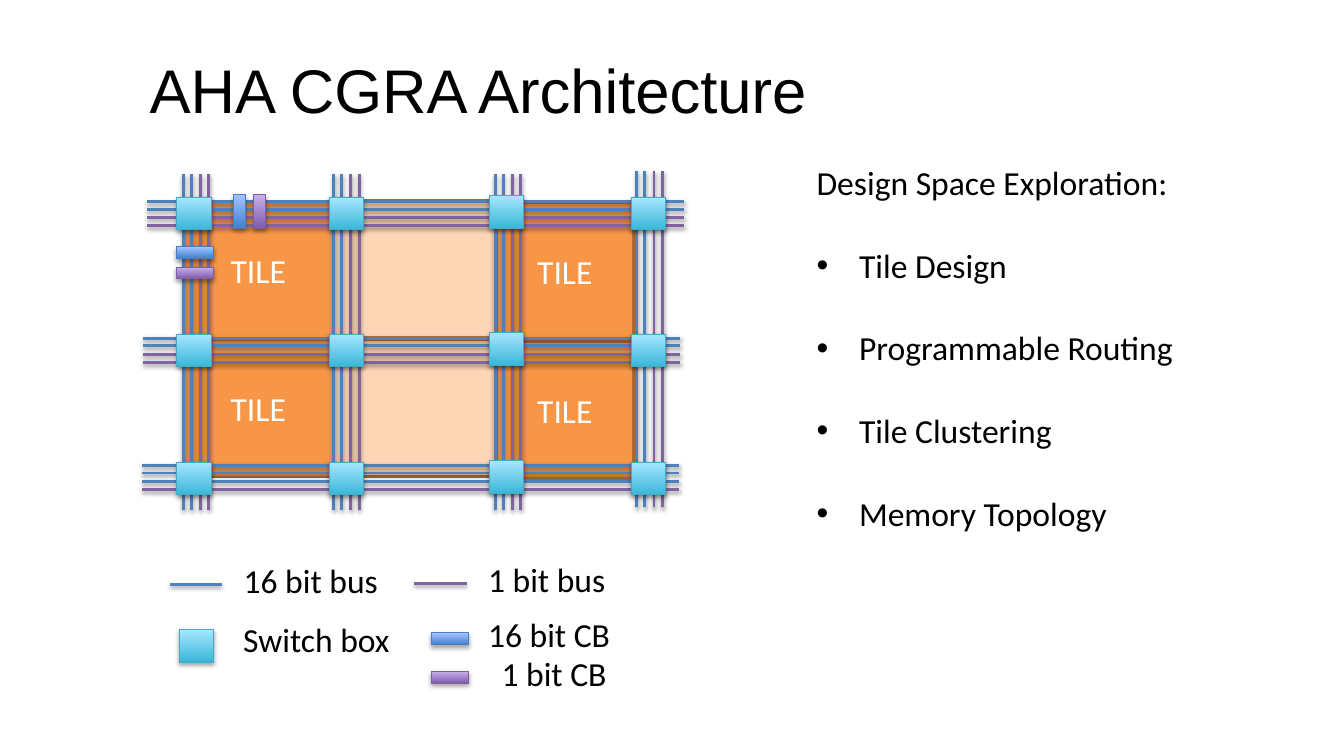
from lxml import etree
from pptx import Presentation
from pptx.dml.color import RGBColor
from pptx.enum.shapes import MSO_CONNECTOR, MSO_SHAPE
from pptx.enum.text import MSO_ANCHOR, PP_ALIGN
from pptx.oxml.ns import qn
from pptx.util import Cm, Pt

RECTANGLE = MSO_SHAPE.RECTANGLE
STRAIGHT = MSO_CONNECTOR.STRAIGHT
MIDDLE, TOP = MSO_ANCHOR.MIDDLE, MSO_ANCHOR.TOP
CENTER, LEFT = PP_ALIGN.CENTER, PP_ALIGN.LEFT

BLACK = RGBColor(0x00, 0x00, 0x00)
WHITE = RGBColor(0xFF, 0xFF, 0xFF)
ORANGE = RGBColor(0xF7, 0x96, 0x46)
PEACH = RGBColor(0xFC, 0xD5, 0xB5)
BROWN = RGBColor(0xB7, 0x6F, 0x34)
BLUE = RGBColor(0x4F, 0x81, 0xBD)
PURPLE = RGBColor(0x80, 0x64, 0xA2)

# Gradient styles: bottom colour, top colour, outline
SWITCH = (RGBColor(0x39, 0xB7, 0xD8), RGBColor(0xA7, 0xE6, 0xFF), RGBColor(0x46, 0xAA, 0xC5))
WIDE_CB = (RGBColor(0x3F, 0x80, 0xCE), RGBColor(0xA4, 0xC4, 0xFF), RGBColor(0x4B, 0x7E, 0xBC))
BIT_CB = (RGBColor(0x7F, 0x5B, 0xAB), RGBColor(0xC8, 0xB0, 0xED), RGBColor(0x7D, 0x60, 0xA0))

SWITCH_SIZE = (0.87, 0.82)
CB_LONG, CB_SHORT = 0.94, 0.3


def write_text(frame, lines, size=24, font="Calibri", color=BLACK, align=LEFT,
               anchor=TOP, wrap=True, line_spacing=None, space=None):
    """Fill a text frame, one paragraph per line, and return the paragraphs."""
    frame.word_wrap = wrap
    frame.vertical_anchor = anchor
    for index, line in enumerate(lines):
        paragraph = frame.add_paragraph() if index else frame.paragraphs[0]
        paragraph.alignment = align
        paragraph.line_spacing = line_spacing
        if space is not None:
            paragraph.space_before = paragraph.space_after = Pt(space)
        run = paragraph.add_run()
        run.text = line
        run.font.size = Pt(size)
        run.font.name = font
        run.font.color.rgb = color
    return frame.paragraphs


def add_bullet(paragraph, indent):
    properties = paragraph._p.get_or_add_pPr()
    properties.set("marL", str(Cm(indent)))
    properties.set("indent", str(-Cm(indent)))
    etree.SubElement(properties, qn("a:buFont")).set("typeface", "Arial")
    etree.SubElement(properties, qn("a:buChar")).set("char", "•")


def add_shadow(effects, distance, opacity):
    shadow = etree.SubElement(effects, qn("a:outerShdw"), blurRad=str(Pt(3.1)),
                              dist=str(Pt(distance)), dir="5400000", rotWithShape="0")
    color = etree.SubElement(shadow, qn("a:srgbClr"), val=str(BLACK))
    etree.SubElement(color, qn("a:alpha"), val=str(opacity * 1000))


class Diagram:
    """Current slide and the look of its elements; lengths in centimetres."""

    def __init__(self, slide):
        self.slide = slide
        self.bus_width = Pt(2)
        self.box_outline = Pt(0.75)

    def rectangle(self, left, top, width, height):
        shape = self.slide.shapes.add_shape(RECTANGLE, Cm(left), Cm(top), Cm(width), Cm(height))
        shape.shadow.inherit = False
        return shape

    def tile(self, left, top, width, height, color, lines):
        shape = self.rectangle(left, top, width, height)
        shape.fill.solid()
        shape.fill.fore_color.rgb = color
        shape.line.color.rgb = BROWN
        shape.line.width = self.bus_width
        write_text(shape.text_frame, lines, color=WHITE, align=CENTER, anchor=MIDDLE)

    def box(self, left, top, width, height, style):
        shape = self.rectangle(left, top, width, height)
        bottom_color, top_color, outline = style
        shape.fill.gradient()
        shape.fill.gradient_angle = 90
        for stop, color in zip(shape.fill.gradient_stops, (bottom_color, top_color)):
            stop.color.rgb = color
        shape.line.color.rgb = outline
        shape.line.width = self.box_outline
        add_shadow(shape._element.spPr.find(qn("a:effectLst")), 1.8, 35)

    def wire(self, x1, y1, x2, y2, color):
        connector = self.slide.shapes.add_connector(STRAIGHT, Cm(x1), Cm(y1), Cm(x2), Cm(y2))
        connector.line.color.rgb = color
        connector.line.width = self.bus_width
        effects = etree.SubElement(connector._element.spPr, qn("a:effectLst"))
        add_shadow(effects, 1.6, 38)

    def text(self, left, top, width, height, lines, **text_format):
        box = self.slide.shapes.add_textbox(Cm(left), Cm(top), Cm(width), Cm(height))
        return write_text(box.text_frame, lines, **text_format)


def draw_array(diagram):
    # Tiles: left, width, colour, vertical shift, label
    tile_columns = [(12.51, 3.45, ORANGE, 0.03, ["TILE"]), (8.4, 4.09, PEACH, -0.02, []),
                    (4.62, 3.78, ORANGE, 0, ["TILE"])]
    for top in (8.57, 5.08):
        for left, width, color, shift, label in tile_columns:
            diagram.tile(left, top + shift, width, 3.45, color, label)

    # Vertical buses: x of the first wire, top, left of the switch boxes
    columns = [(4.62, 4.39, 4.46), (8.41, 4.38, 8.3), (12.48, 4.38, 12.33), (16.05, 4.32, 15.91)]
    bus_colors = (BLUE, BLUE, PURPLE, PURPLE)
    for left, top, _ in columns:
        for offset, color in zip((0, 0.2, 0.43, 0.64), bus_colors):
            diagram.wire(left + offset, top, left + offset, top + 8.46, color)

    # Horizontal buses: y of the first wire, left, wire colours, top of the switch boxes
    rows = [(5.08, 3.71, bus_colors, 4.97), (8.52, 3.61, bus_colors, 8.42),
            (11.73, 3.58, (BLUE, BLUE, BLUE, PURPLE), 11.65)]
    for top, left, colors, _ in rows:
        for offset, color in zip((0, 0.19, 0.41, 0.61), colors):
            diagram.wire(left, top + offset, left + 13.54, top + offset, color)

    # Switch boxes at the crossings; the third column sits slightly higher
    for *_, top in rows:
        for (*_, left), shift in zip(columns, (0, 0, -0.04, 0)):
            diagram.box(left, top + shift, *SWITCH_SIZE, SWITCH)

    # Connection boxes on the first tile
    for style, top, left in ((WIDE_CB, 6.22, 5.89), (BIT_CB, 6.73, 6.4)):
        diagram.box(4.45, top, CB_LONG, CB_SHORT, style)
        diagram.box(left, 4.9, CB_SHORT, 0.86, style)


def draw_legend(diagram):
    diagram.wire(4.28, 14.73, 5.6, 14.73, BLUE)
    diagram.wire(10.44, 14.71, 11.76, 14.71, PURPLE)
    diagram.box(4.52, 15.87, *SWITCH_SIZE, SWITCH)
    diagram.box(10.87, 15.95, CB_LONG, CB_SHORT, WIDE_CB)
    diagram.box(10.87, 16.92, CB_LONG, CB_SHORT, BIT_CB)
    for label, left, top, width in (
        ("16 bit bus", 5.89, 13.99, 3.91),
        ("1 bit bus", 12.05, 13.96, 3.48),
        ("Switch box", 5.88, 15.47, 4.24),
        ("16 bit CB", 12.05, 15.34, 3.61),
        ("1 bit CB", 12.39, 16.33, 3.15),
    ):
        diagram.text(left, top, width, 1.27, [label], wrap=False)


def main():
    presentation = Presentation()
    presentation.slide_width, presentation.slide_height = Cm(33.87), Cm(19.05)
    diagram = Diagram(presentation.slides.add_slide(presentation.slide_layouts[6]))

    # Title
    diagram.text(3.52, 1.34, 28.55, 1.8, ["AHA CGRA Architecture"],
                 size=44, font="Arial", anchor=MIDDLE)

    draw_array(diagram)
    draw_legend(diagram)

    # Exploration topics
    topics = ["Design Space Exploration:", "Tile Design", "Programmable Routing",
              "Tile Clustering", "Memory Topology"]
    paragraphs = diagram.text(20.33, 3.44, 13.5, 10.24, topics, line_spacing=1.5, space=8)
    for paragraph in paragraphs[1:]:
        add_bullet(paragraph, 1.07)

    presentation.save("out.pptx")


if __name__ == "__main__":
    main()
